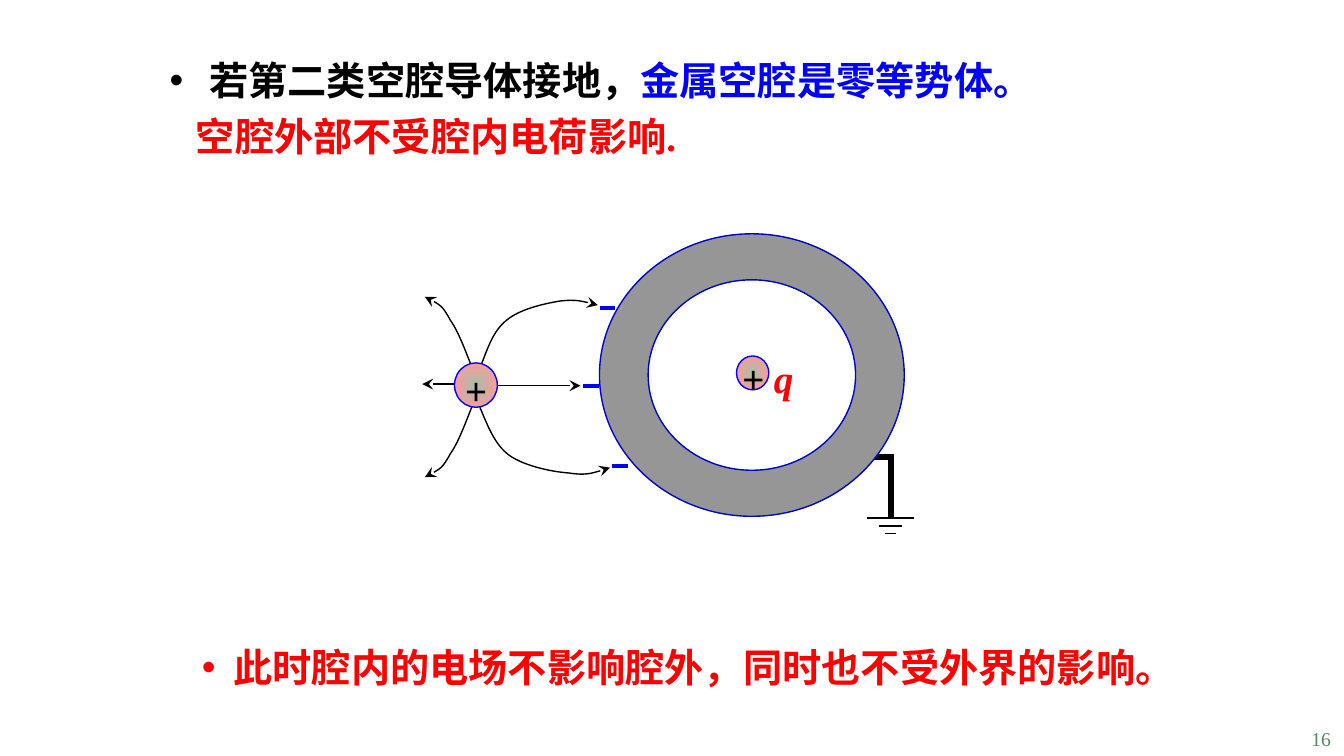
from lxml.etree import SubElement
from pptx import Presentation
from pptx.dml.color import RGBColor
from pptx.enum.shapes import MSO_CONNECTOR as Connector, MSO_SHAPE as Shape
from pptx.enum.text import MSO_ANCHOR as Anchor, MSO_AUTO_SIZE as AutoSize, PP_ALIGN as Align
from pptx.oxml.ns import qn
from pptx.util import Cm, Pt

COLORS = {
    "black": "000000", "blue": "0000FF", "red": "FF0000", "metal": "969696",
    "rim": "0000CC", "core": "A9BDA9", "pink": "FF9999", "page": "578963",
}


def rgb(name):
    return RGBColor.from_string(COLORS[name])


class Board:
    font, size, thin = "Times New Roman", 21, 0.75

    def __init__(self, slide):
        self.slide = slide

    def outline(self, shape, color, width, arrow=False):
        shape.line.color.rgb = rgb(color)
        shape.line.width = Pt(width)
        if arrow:
            ln = shape._element.spPr.find(qn("a:ln"))
            SubElement(ln, qn("a:tailEnd"), type="stealth")

    def line(self, x1, y1, x2, y2, color="black", width=thin, arrow=False):
        wire = self.slide.shapes.add_connector(
            Connector.STRAIGHT, Cm(x1), Cm(y1), Cm(x2), Cm(y2))
        self.outline(wire, color, width, arrow)
        SubElement(wire._element.spPr, qn("a:effectLst"))

    def curve(self, contours, color="black", fill=None, arrow=False):
        """Draw contours of cubic curves: a start, then three points per piece."""
        builder = None
        for start, *rest in contours:
            x, y = (Cm(v) for v in start)
            if builder is None:
                builder = self.slide.shapes.build_freeform(x, y)
            else:
                builder.move_to(x, y)
            builder.add_line_segments([(Cm(px), Cm(py)) for px, py in rest], close=bool(fill))
        shape = builder.convert_to_shape()
        # Turn every three straight steps into one cubic curve
        steps = list(shape._element.iter(qn("a:lnTo")))
        for first, second, third in zip(*[iter(steps)] * 3):
            first.tag = qn("a:cubicBezTo")
            for step in (second, third):
                first.append(step[0])
                step.getparent().remove(step)
        shape.shadow.inherit = False
        if fill:
            shape.fill.solid()
            shape.fill.fore_color.rgb = rgb(fill)
        else:
            shape.fill.background()
        self.outline(shape, color, self.thin, arrow)

    def charge(self, x, y, w, h):
        ball = self.slide.shapes.add_shape(Shape.OVAL, Cm(x), Cm(y), Cm(w), Cm(h))
        ball.shadow.inherit = False
        ball.fill.gradient()
        for stop, color, position in zip(ball.fill.gradient_stops, ("core", "pink"), (0, 1)):
            stop.color.rgb = rgb(color)
            stop.position = position
        grad = ball._element.spPr.find(qn("a:gradFill"))
        grad.remove(grad.find(qn("a:lin")))
        radial = SubElement(grad, qn("a:path"))
        radial.set("path", "shape")
        SubElement(radial, qn("a:fillToRect"), l="50000", t="50000", r="50000", b="50000")
        self.outline(ball, "blue", self.thin)

    def fill_paragraph(self, paragraph, runs, size=size, bold=True, italic=False):
        for words, color in runs:
            run = paragraph.add_run()
            run.text = words
            if len(runs) > 1:
                run.font.color.rgb = rgb(color)
        font = paragraph.font
        font.name, font.size, font.bold, font.italic = self.font, Pt(size), bold, italic
        font.color.rgb = rgb(runs[0][1])

    def label(self, x, y, w, h, runs, align=Align.LEFT, spacing=1.2, **style):
        frame = self.slide.shapes.add_textbox(Cm(x), Cm(y), Cm(w), Cm(h)).text_frame
        frame.word_wrap = True
        paragraph = frame.paragraphs[0]
        paragraph.alignment, paragraph.line_spacing = align, spacing
        self.fill_paragraph(paragraph, runs, **style)

    def points(self, index, x, y, w, h, rows):
        """Fill a body placeholder with rows of (indent, bulleted, runs)."""
        body = self.slide.placeholders[index]
        body.left, body.top, body.width, body.height = Cm(x), Cm(y), Cm(w), Cm(h)
        frame = body.text_frame
        frame.auto_size, frame.vertical_anchor = AutoSize.SHAPE_TO_FIT_TEXT, Anchor.TOP
        for number, (indent, bulleted, runs) in enumerate(rows):
            paragraph = frame.add_paragraph() if number else frame.paragraphs[0]
            paragraph.line_spacing, paragraph.space_before = 1.2, Pt(0)
            props = paragraph._p.get_or_add_pPr()
            props.set("marL", str(Cm(indent)))
            props.set("indent", str(-Cm(indent) if bulleted else 0))
            if bulleted:
                SubElement(props, qn("a:buFont"), typeface="Arial")
                SubElement(props, qn("a:buChar"), char="•")
            else:
                SubElement(props, qn("a:buNone"))
            self.fill_paragraph(paragraph, runs)


def ellipse(cx, cy, rx, ry, turn=1):
    """Four cubic quarters from the left end; turn -1 runs the other way."""
    k = 0.55
    unit = [(-1, 0), (-1, -k), (-k, -1), (0, -1), (k, -1), (1, -k), (1, 0),
            (1, k), (k, 1), (0, 1), (-k, 1), (-1, k), (-1, 0)]
    return [(cx + rx * x, cy + turn * ry * y) for x, y in unit]


def main():
    deck = Presentation()
    deck.slide_width, deck.slide_height = Cm(25.4), Cm(14.29)
    slide = deck.slides.add_slide(deck.slide_layouts[3])
    title = slide.shapes.title._element
    title.getparent().remove(title)
    board = Board(slide)

    # Statements above and below the drawing
    board.points(1, 2.95, 0.76, 18.19, 2.41, [
        (0.75, True, [("若第二类空腔导体接地，", "black"), ("金属空腔是零等势体。", "blue")]),
        (0.5, False, [("空腔外部不受腔内电荷影响.", "red")]),
    ])
    board.points(2, 3.56, 11.86, 20.9, 1.35, [
        (0.6, True, [("此时腔内的电场不影响腔外，同时也不受外界的影响。", "red")]),
    ])

    # Hollow conductor with the charge inside
    center = (14.21, 7.09)
    board.line(16.51, 8.64, 16.87, 8.64, width=3.25)
    board.charge(13.92, 6.73, 0.61, 0.64)
    board.label(13.77, 6.4, 1.7, 1.32, [("+ ", "black"), ("q", "red")], italic=True)
    board.curve([ellipse(*center, 2.88, 2.67), ellipse(*center, 1.96, 1.8, turn=-1)],
                color="rim", fill="metal")

    # Earth connection
    board.line(16.84, 8.59, 16.84, 9.78, width=3.25)
    for row, half in enumerate((0.45, 0.22, 0.11)):
        y = 9.79 + 0.15 * row
        board.line(16.83 - half, y, 16.83 + half, y)

    # Field lines of the outer charge
    board.line(8.94, 7.29, 10.97, 7.29, arrow=True)
    board.line(8.81, 7.26, 7.98, 7.26, arrow=True)
    upper_left = [(9.02, 7.19), (8.84, 6.76), (8.69, 6.3), (8.51, 6.05),
                  (8.36, 5.77), (8.2, 5.69), (8.03, 5.61)]
    lower_left = [(x, 14.63 - y) for x, y in upper_left]
    upper_right = [(9.09, 6.91), (9.22, 6.58), (9.32, 6.25), (9.58, 6.05), (9.83, 5.84),
                   (10.29, 5.74), (10.59, 5.69), (10.87, 5.66), (11.1, 5.71), (11.3, 5.77)]
    lower_right = [(9.07, 7.7), (9.22, 8.05), (9.35, 8.41), (9.63, 8.61), (9.91, 8.81),
                   (10.44, 8.92), (10.74, 8.94), (11.07, 8.99), (11.3, 8.92), (11.53, 8.84)]
    for field_line in (upper_right, lower_right, upper_left, lower_left):
        board.curve([field_line], arrow=True)

    # Outer charge and the negative charges it induces
    board.charge(8.59, 6.86, 0.81, 0.84)
    board.label(8.53, 6.63, 1.27, 1.32, [("+", "black")], italic=True)
    for x, y in ((11.02, 7.29), (11.33, 5.82), (11.56, 8.81)):
        board.line(x, y, x + 0.3, y, color="blue", width=2)

    # Page number
    board.label(20.12, 13.61, 5.28, 0.97, [("16", "page")], align=Align.RIGHT,
                spacing=1, size=10.5, bold=False)
    deck.save("out.pptx")


if __name__ == "__main__":
    main()
